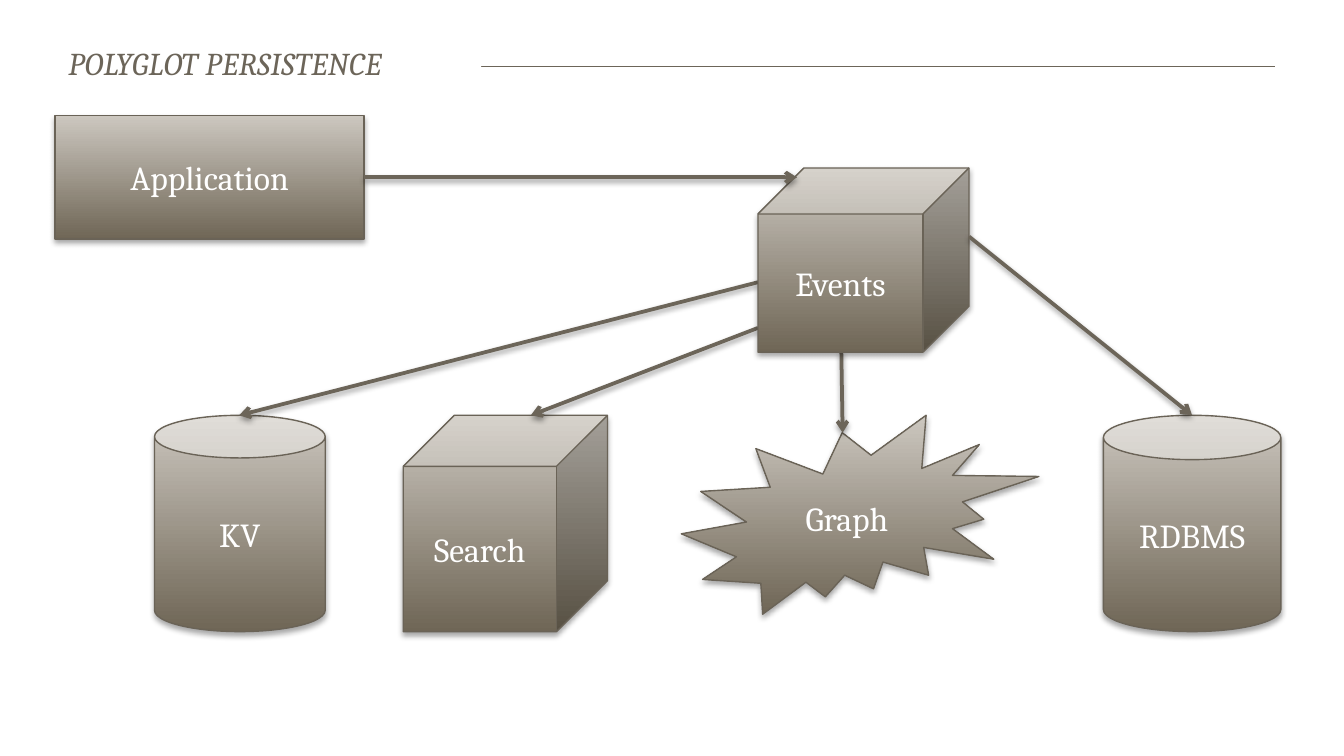
from dataclasses import dataclass

from lxml.etree import SubElement
from pptx import Presentation
from pptx.dml.color import RGBColor
from pptx.enum.shapes import MSO_CONNECTOR, MSO_SHAPE
from pptx.enum.text import MSO_ANCHOR, PP_ALIGN
from pptx.oxml.ns import qn
from pptx.util import Inches, Pt


@dataclass(frozen=True)
class Theme:
    """Colours, font and sizes of the slide."""
    font: str = "Cambria"
    ink: RGBColor = RGBColor(0x6C, 0x65, 0x59)
    outline: RGBColor = RGBColor(0x6A, 0x63, 0x57)
    dark: RGBColor = RGBColor(0x6F, 0x66, 0x56)
    light: RGBColor = RGBColor(0xCC, 0xC7, 0xBF)
    white: RGBColor = RGBColor(0xFF, 0xFF, 0xFF)
    title_size: float = 17
    label_size: float = 18
    rule_width: float = 0.2
    outline_width: float = 0.75
    arrow_width: float = 2


class Diagram:
    """Draws styled elements on one slide."""

    def __init__(self, slide, theme):
        """Keep the slide's shapes and the theme."""
        self.shapes = slide.shapes
        self.theme = theme

    def style_text(self, paragraph, size, color):
        """Apply the theme font to a paragraph's runs."""
        for run in paragraph.runs:
            run.font.name = self.theme.font
            run.font.size = Pt(size)
            run.font.color.rgb = color

    def add_shadow(self, effects, opacity, distance):
        """Put a soft downward shadow in an effect list."""
        shadow = SubElement(effects, qn("a:outerShdw"), blurRad=str(Pt(3.1)),
                            dist=str(Pt(distance)), dir="5400000", rotWithShape="0")
        color = SubElement(shadow, qn("a:srgbClr"), val="000000")
        SubElement(color, qn("a:alpha"), val=str(opacity * 1000))

    def line(self, start, end, width):
        """Draw a straight line and return it with its empty effect list."""
        connector = self.shapes.add_connector(
            MSO_CONNECTOR.STRAIGHT, *map(Inches, start + end))
        connector.line.color.rgb = self.theme.ink
        connector.line.width = Pt(width)
        effects = SubElement(connector._element.spPr, qn("a:effectLst"))
        return connector, effects

    def arrow(self, start, end):
        """Draw a shadowed arrow."""
        connector, effects = self.line(start, end, self.theme.arrow_width)
        SubElement(connector.line._get_or_add_ln(), qn("a:tailEnd"), type="arrow")
        self.add_shadow(effects, 38, 1.6)
        return connector

    def title(self, text, left, top, width, height):
        """Write the slide title on a white ground."""
        box = self.shapes.add_textbox(*map(Inches, (left, top, width, height)))
        box.fill.solid()
        box.fill.fore_color.rgb = self.theme.white
        frame = box.text_frame
        frame.word_wrap = True
        frame.margin_top = frame.margin_bottom = 0
        frame.vertical_anchor = MSO_ANCHOR.MIDDLE
        frame.text = text
        paragraph = frame.paragraphs[0]
        self.style_text(paragraph, self.theme.title_size, self.theme.ink)
        for run in paragraph.runs:
            run.font.italic = True
            run.font._element.set("spc", "20")

    def node(self, kind, text, left, top, width, height):
        """Draw a labelled gradient shape."""
        shape = self.shapes.add_shape(kind, *map(Inches, (left, top, width, height)))
        shape.fill.gradient()
        shape.fill.gradient_angle = 90
        for stop, color in zip(shape.fill.gradient_stops,
                               (self.theme.dark, self.theme.light)):
            stop.color.rgb = color
        shape.line.color.rgb = self.theme.outline
        shape.line.width = Pt(self.theme.outline_width)
        shape.shadow.inherit = False
        effects = shape._element.spPr.find(qn("a:effectLst"))
        self.add_shadow(effects, 35, 1.8)
        frame = shape.text_frame
        frame.text = text
        frame.vertical_anchor = MSO_ANCHOR.MIDDLE
        paragraph = frame.paragraphs[0]
        paragraph.alignment = PP_ALIGN.CENTER
        self.style_text(paragraph, self.theme.label_size, self.theme.white)
        return shape


def main():
    """Build the polyglot persistence slide."""
    presentation = Presentation()
    presentation.slide_width = Inches(10)
    presentation.slide_height = Inches(10) * 9 // 16
    slide = presentation.slides.add_slide(presentation.slide_layouts[6])
    theme = Theme()
    diagram = Diagram(slide, theme)
    store_top, store_height = 3.09, 1.61

    diagram.line((0.53, 0.49), (9.49, 0.49), theme.rule_width)
    diagram.title("POLYGLOT PERSISTENCE", 0.41, 0.32, 3.17, 0.29)
    application = diagram.node(MSO_SHAPE.RECTANGLE, "Application", 0.41, 0.86, 2.3, 0.92)
    diagram.node(MSO_SHAPE.CAN, "KV", 1.15, store_top, 1.27, store_height)
    diagram.arrow((5.64, 2.1), (1.78, store_top))
    diagram.node(MSO_SHAPE.CUBE, "Search", 3, store_top, 1.52, store_height)
    diagram.arrow((5.64, 2.44), (3.95, store_top))
    diagram.node(MSO_SHAPE.EXPLOSION2, "Graph", 5.07, store_top, 2.66, 1.48)
    diagram.arrow((6.26, 2.61), (6.27, 3.22))
    diagram.node(MSO_SHAPE.CUBE, "Events", 5.64, 1.25, 1.57, 1.37)
    diagram.node(MSO_SHAPE.CAN, "RDBMS", 8.21, store_top, 1.32, store_height)
    diagram.arrow((7.21, 1.76), (8.87, store_top))
    diagram.arrow((2.71, 1.32), (5.93, 1.32)).begin_connect(application, 3)

    presentation.save("out.pptx")


if __name__ == "__main__":
    main()
